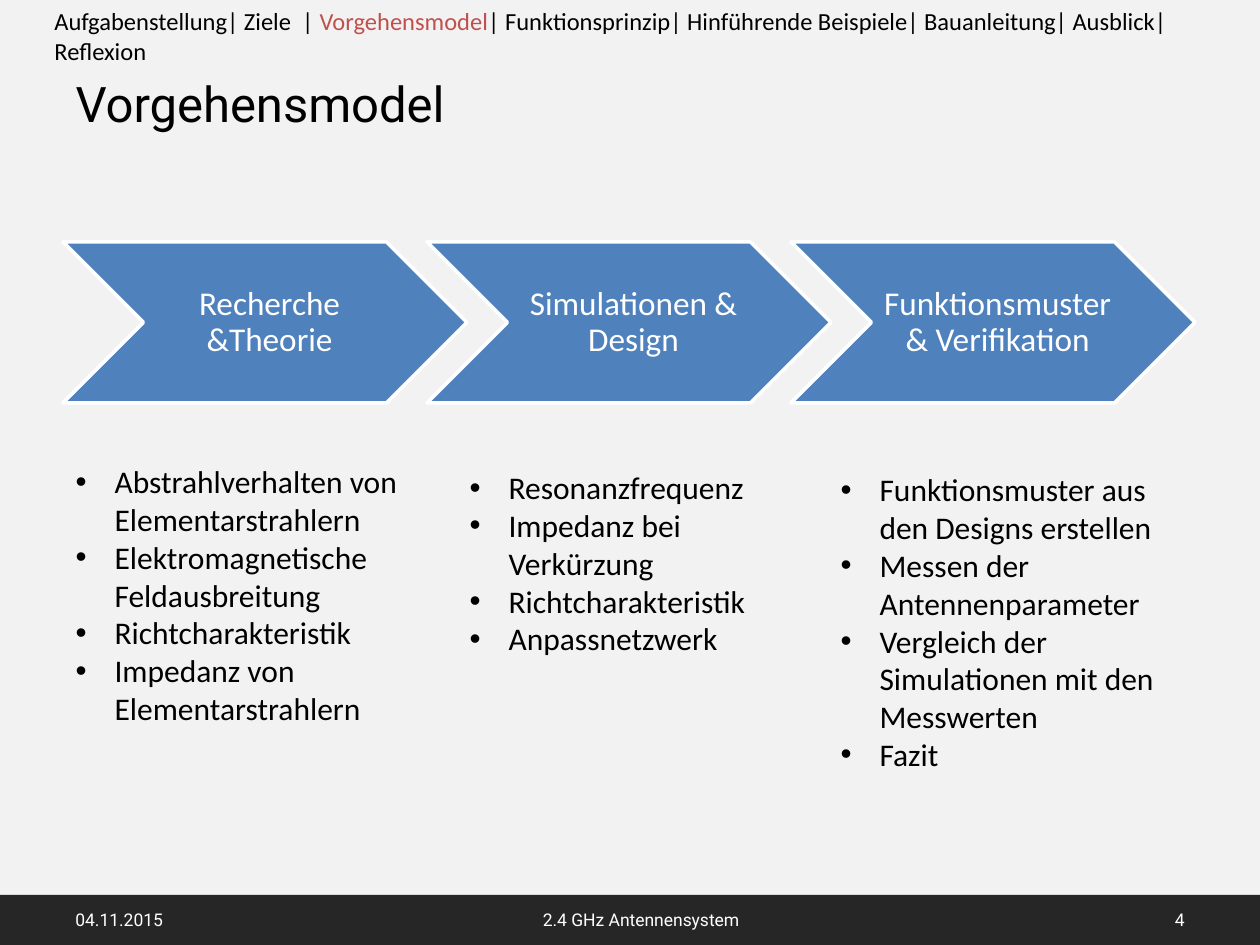
from dataclasses import dataclass

from lxml import etree
from pptx import Presentation
from pptx.dml.color import RGBColor
from pptx.enum.shapes import MSO_SHAPE
from pptx.enum.text import MSO_ANCHOR, MSO_AUTO_SIZE, PP_ALIGN
from pptx.oxml.ns import qn
from pptx.util import Pt

RECT, CHEVRON = MSO_SHAPE.RECTANGLE, MSO_SHAPE.CHEVRON
TOP, MIDDLE = MSO_ANCHOR.TOP, MSO_ANCHOR.MIDDLE
LEFT, CENTER, RIGHT = PP_ALIGN.LEFT, PP_ALIGN.CENTER, PP_ALIGN.RIGHT
NO_FIT = MSO_AUTO_SIZE.NONE
EMU_PER_PX = 914400 / 126
COMPARISON_LAYOUT = 4


@dataclass(frozen=True)
class Theme:
    background: str = "F2F2F2"
    bar: str = "262626"
    step: str = "4F81BD"
    light: str = "FFFFFF"
    dark: str = "000000"
    current: str = "C0504D"
    heading_font: str = "Roboto"
    body_font: str = "Calibri"
    title_size: int = 28
    step_size: int = 19
    list_size: int = 18
    agenda_size: int = 14
    footer_size: int = 10


def px(length):
    return round(length * EMU_PER_PX)


def assign(target, values):
    for name, value in values.items():
        setattr(target, name, value)


class SlideBuilder:
    def __init__(self, slide, theme):
        self.slide = slide
        self.theme = theme
        background = slide.background.fill
        background.solid()
        background.fore_color.rgb = RGBColor.from_string(theme.background)

    def place(self, shape, box):
        assign(shape, dict(zip(("left", "top", "width", "height"), map(px, box))))

    def frame(self, shape, anchor):
        assign(shape.text_frame, {"word_wrap": True, "auto_size": NO_FIT, "vertical_anchor": anchor})
        return shape.text_frame

    def add_runs(self, paragraph, runs, font, size, align=LEFT, spacing=1.0):
        assign(paragraph, {"alignment": align, "line_spacing": spacing,
                           "space_before": Pt(0), "space_after": Pt(0)})
        for text, color in runs:
            run = paragraph.add_run()
            run.text = text
            assign(run.font, {"name": font, "size": Pt(size), "bold": False})
            run.font.color.rgb = RGBColor.from_string(color)

    def title(self, text, box):
        heading = self.slide.shapes.title
        self.place(heading, box)
        paragraph = self.frame(heading, MIDDLE).paragraphs[0]
        self.add_runs(paragraph, [(text, self.theme.dark)], self.theme.heading_font, self.theme.title_size)

    def shape(self, kind, box, fill, outline=None):
        figure = self.slide.shapes.add_shape(kind, *map(px, box))
        figure.shadow.inherit = False
        figure.fill.solid()
        figure.fill.fore_color.rgb = RGBColor.from_string(fill)
        if outline:
            figure.line.color.rgb = RGBColor.from_string(outline)
            figure.line.width = Pt(2)
        else:
            figure.line.fill.background()

    def text(self, runs, box, font, size, align=LEFT, anchor=TOP, spacing=1.0, margins=None):
        label = self.slide.shapes.add_textbox(*map(px, box))
        frame = self.frame(label, anchor)
        assign(frame, margins or {})
        self.add_runs(frame.paragraphs[0], runs, font, size, align, spacing)

    def bullets(self, placeholder, items, box):
        self.place(placeholder, box)
        frame = self.frame(placeholder, TOP)
        for index, item in enumerate(items):
            paragraph = frame.add_paragraph() if index else frame.paragraphs[0]
            self.add_runs(paragraph, [(item, self.theme.dark)], self.theme.body_font, self.theme.list_size)
            properties = paragraph._p.get_or_add_pPr()
            properties.set("marL", str(px(39)))
            properties.set("indent", str(px(-39)))
            etree.SubElement(properties, qn("a:buFont")).set("typeface", "Arial")
            etree.SubElement(properties, qn("a:buChar")).set("char", "•")


PHASES = [
    ("Recherche &Theorie", (63, 456, 348, 280),
     ["Abstrahlverhalten von Elementarstrahlern", "Elektromagnetische Feldausbreitung",
      "Richtcharakteristik", "Impedanz von Elementarstrahlern"]),
    ("Simulationen & Design", (457, 462, 348, 242),
     ["Resonanzfrequenz", "Impedanz bei Verkürzung", "Richtcharakteristik", "Anpassnetzwerk"]),
    ("Funktionsmuster & Verifikation", (828, 464, 348, 318),
     ["Funktionsmuster aus den Designs erstellen", "Messen der Antennenparameter",
      "Vergleich der Simulationen mit den Messwerten", "Fazit"]),
]
FOOTER = [
    ("04.11.2015", 63, 294, LEFT),
    ("2.4 GHz Antennensystem", 430, 422, CENTER),
    ("4", 903, 294, RIGHT),
]
PHASE_STEP = 364


def main():
    theme = Theme()
    deck = Presentation()
    assign(deck, {"slide_width": px(1260), "slide_height": px(945)})
    slide = deck.slides.add_slide(deck.slide_layouts[COMPARISON_LAYOUT])
    builder = SlideBuilder(slide, theme)

    builder.title("Vorgehensmodel", (63, 66, 1134, 73))
    agenda = [
        ("Aufgabenstellung| Ziele  | ", theme.dark),
        ("Vorgehensmodel", theme.current),
        ("| Funktionsprinzip| Hinführende Beispiele| Bauanleitung| Ausblick| Reflexion", theme.dark),
    ]
    builder.text(agenda, (42, 0, 1218, 72), theme.body_font, theme.agenda_size)

    *lists, spare = list(slide.placeholders)[1:]
    spare.element.getparent().remove(spare.element)
    margins = {"margin_left": px(10), "margin_top": px(4), "margin_right": px(4), "margin_bottom": px(4)}
    for index, (placeholder, (phase, list_box, items)) in enumerate(zip(lists, PHASES)):
        offset = index * PHASE_STEP
        builder.shape(CHEVRON, (63 + offset, 242, 404, 161), theme.step, theme.light)
        builder.text([(phase, theme.light)], (145 + offset, 242, 243, 161), theme.body_font,
                     theme.step_size, CENTER, MIDDLE, 0.9, margins)
        builder.bullets(placeholder, items, list_box)

    builder.shape(RECT, (0, 895, 1260, 50), theme.bar)
    for text, left, width, align in FOOTER:
        builder.text([(text, theme.light)], (left, 895, width, 50), theme.heading_font,
                     theme.footer_size, align, MIDDLE)

    deck.save("out.pptx")


if __name__ == "__main__":
    main()
